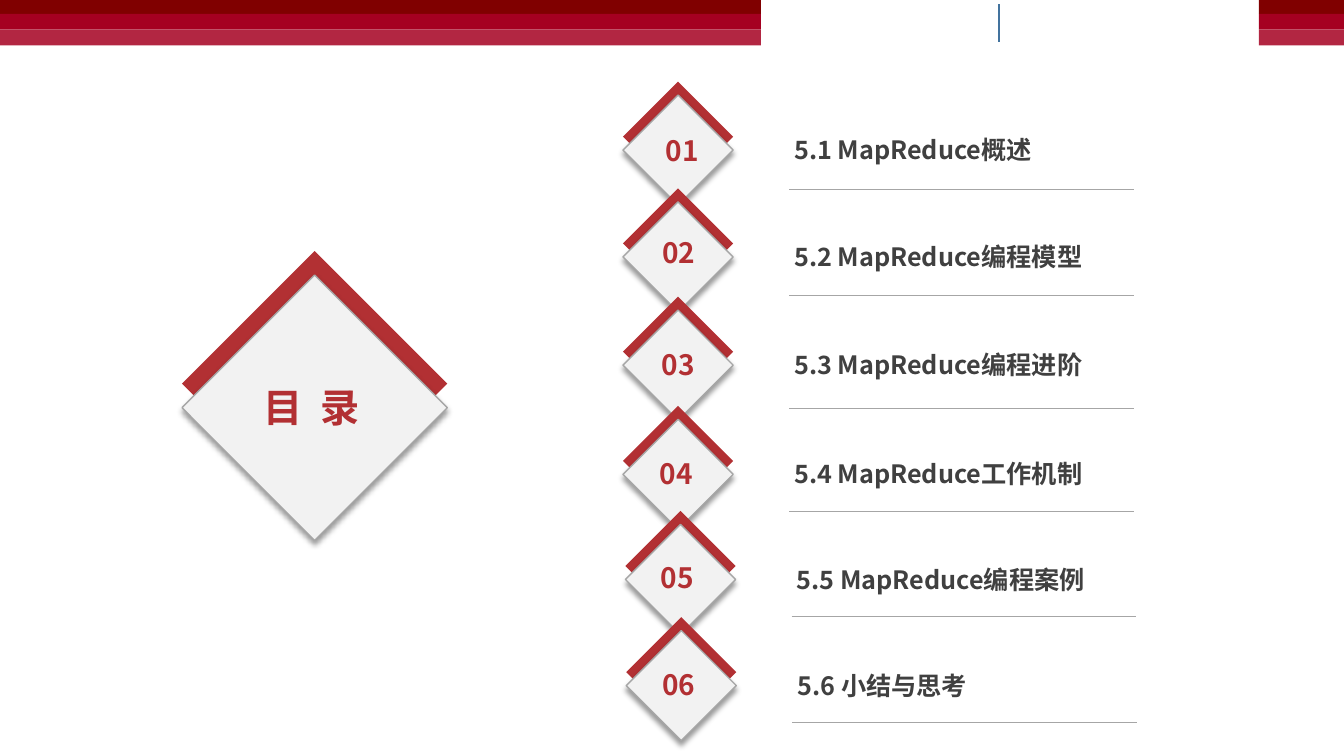
from lxml.etree import SubElement
from pptx import Presentation
from pptx.dml.color import RGBColor
from pptx.enum.shapes import MSO_CONNECTOR, MSO_SHAPE
from pptx.enum.text import MSO_ANCHOR
from pptx.oxml.ns import qn
from pptx.util import Pt

COLORS = {
    "maroon": "800000", "crimson": "A50021", "rose": "B22642",
    "accent": "B23033", "face": "F2F2F2", "rule": "A6A6A6",
    "ink": "404040", "divider": "43739E", "shade": "000000",
}
FONT = "Noto Sans CJK SC"


def color(name):
    """Return the named palette colour."""
    return RGBColor.from_string(COLORS[name])


def write(frame, text, size, ink, inset):
    """Put bold, vertically centred text into a frame."""
    frame.word_wrap = True
    frame.vertical_anchor = MSO_ANCHOR.MIDDLE
    frame.margin_left = frame.margin_right = Pt(inset)
    frame.margin_top = frame.margin_bottom = Pt(inset / 2)
    run = frame.paragraphs[0].add_run()
    run.text = text
    run.font.size = Pt(size)
    run.font.bold = True
    run.font.name = FONT
    run.font.color.rgb = color(ink)
    SubElement(run.font._element, qn("a:ea"), typeface=FONT)


class Page:
    """Draws styled elements on one slide."""

    def __init__(self, slide):
        """Keep the slide to draw on."""
        self.shapes = slide.shapes

    def shape(self, kind, left, top, width, height, fill, line=None):
        """Add a flat preset shape."""
        box = self.shapes.add_shape(kind, Pt(left), Pt(top), Pt(width), Pt(height))
        box.shadow.inherit = False
        box.fill.solid()
        box.fill.fore_color.rgb = color(fill)
        if line:
            box.line.color.rgb = color(line)
            box.line.width = Pt(1)
        else:
            box.line.fill.background()
        return box

    def diamond(self, left, top, size, lift):
        """Add a shaded diamond with a red roof behind it."""
        kind = MSO_SHAPE.FLOWCHART_DECISION
        self.shape(kind, left, top, size, size, "accent")
        face = self.shape(kind, left, top + lift, size, size, "face", "rule")
        effects = face._element.spPr.find(qn("a:effectLst"))
        shadow = SubElement(effects, qn("a:outerShdw"), blurRad=str(Pt(4)),
                            dist=str(Pt(3)), dir="5400000", algn="t", rotWithShape="0")
        shade = SubElement(shadow, qn("a:srgbClr"), val=COLORS["shade"])
        SubElement(shade, qn("a:alpha"), val="40000")

    def line(self, start, end, ink, width):
        """Add a straight line without shadow."""
        rule = self.shapes.add_connector(MSO_CONNECTOR.STRAIGHT, *map(Pt, start + end))
        rule.line.color.rgb = color(ink)
        rule.line.width = Pt(width)
        SubElement(rule._element.spPr, qn("a:effectLst"))

    def text(self, content, left, top, width, height, size, ink="accent", inset=5):
        """Add a text box."""
        box = self.shapes.add_textbox(Pt(left), Pt(top), Pt(width), Pt(height))
        write(box.text_frame, content, size=size, ink=ink, inset=inset)


deck = Presentation()
deck.slide_width, deck.slide_height = Pt(960), Pt(540)
page = Page(deck.slides.add_slide(deck.slide_layouts[6]))

for band_left, band_width in ((0, 543.5), (899.3, 60.7)):
    for band_top, band_height, fill in ((0, 10, "maroon"), (10, 11, "crimson"), (21, 11.5, "rose")):
        page.shape(MSO_SHAPE.RECTANGLE, band_left, band_top, band_width, band_height, fill)
page.line((713.5, 3), (713.5, 30), "divider", 1)

page.diamond(130, 179.3, 189.5, 17.2)
page.text("目  录", 183, 270, 114, 41, size=28)

chapters = [
    ("5.1 MapReduce概述", 445, 58.3, 468.5, 108, 135.4),
    ("5.2 MapReduce编程模型", 445, 134.6, 466, 180.5, 211),
    ("5.3 MapReduce编程进阶", 445, 211.9, 465.5, 260.5, 291.5),
    ("5.4 MapReduce工作机制", 445, 289.9, 464, 338.5, 365.5),
    ("5.5 MapReduce编程案例", 446.8, 365, 465, 413, 440.5),
    ("5.6 小结与思考", 447.3, 440.8, 466, 489, 516),
]
for number, (title, left, top, number_left, number_middle, rule_y) in enumerate(chapters, 1):
    page.diamond(left, top, 78.7, 9.6)
    page.text(f"{number:02}", number_left, number_middle - 17, 42, 33, size=20, inset=7.2)
    page.text(title, left + 117.3, top + 35, 260, 27, size=18, ink="ink")
    page.line((left + 118.7, rule_y), (left + 365, rule_y), "rule", 0.5)

deck.save("out.pptx")
